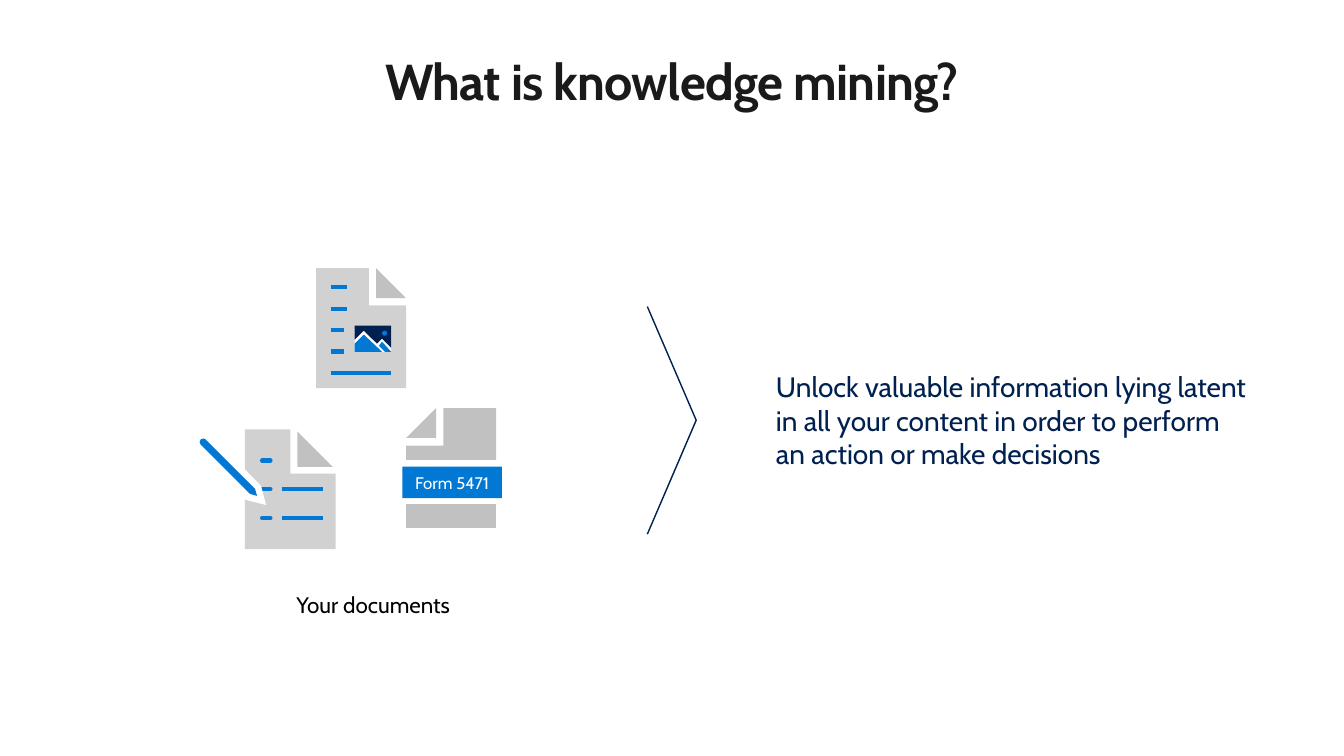
from lxml import etree
from pptx import Presentation
from pptx.dml.color import RGBColor
from pptx.enum.shapes import MSO_CONNECTOR, MSO_SHAPE
from pptx.enum.text import MSO_ANCHOR, MSO_AUTO_SIZE, PP_ALIGN
from pptx.oxml.ns import qn
from pptx.util import Pt

LINE = MSO_CONNECTOR.STRAIGHT
RECT, OVAL = MSO_SHAPE.RECTANGLE, MSO_SHAPE.OVAL
TOP, MIDDLE = MSO_ANCHOR.TOP, MSO_ANCHOR.MIDDLE
LEFT, CENTER = PP_ALIGN.LEFT, PP_ALIGN.CENTER
FIXED = MSO_AUTO_SIZE.NONE
PALE, GRAY, BLUE, NAVY, WHITE = "D1D1D1", "C1C1C1", "0078D4", "002050", "FFFFFF"


def paint(fill, color):
    fill.solid()
    fill.fore_color.rgb = RGBColor.from_string(color)


def trace(points, color, close=True):
    ends = [(Pt(x), Pt(y)) for x, y in points]
    pen = shapes.build_freeform(*ends[0], scale=1.0)
    pen.add_line_segments(ends[1:], close=close)
    shape = pen.convert_to_shape()
    shape.shadow.inherit = False
    if close:
        paint(shape.fill, color)
        shape.line.fill.background()
    else:
        shape.fill.background()
        paint(shape.line.fill, color)
        shape.line.width = Pt(1)


deck = Presentation()
deck.slide_width, deck.slide_height = Pt(960), Pt(540)
slide = deck.slides.add_slide(deck.slide_layouts[5])
shapes = slide.shapes

trace([(462.4, 219), (497.3, 300.2), (462.4, 381.6)], NAVY, close=False)

pages = [
    (PALE, [(225.8, 191.5), (263.5, 191.5), (263.5, 218.2), (290.1, 218.2),
            (290.1, 277.2), (225.8, 277.2)]),
    (GRAY, [(268.6, 213), (290.1, 213), (268.6, 191.5)]),
    (PALE, [(175, 306.7), (207.4, 306.7), (207.4, 338.4), (239.7, 338.4),
            (239.7, 392.2), (175, 392.2)]),
    (GRAY, [(212.4, 333.5), (237.8, 333.5), (212.4, 308.2)]),
    (GRAY, [(354.3, 291.5), (354.3, 328.5), (290.1, 328.5), (290.1, 318.4),
            (316.8, 318.4), (316.8, 291.5)]),
    (GRAY, [(290.1, 360), (354.3, 360), (354.3, 377.2), (290.1, 377.2)]),
    (GRAY, [(311.5, 312.8), (290.1, 312.8), (311.5, 291.5)]),
]
for color, points in pages:
    trace(points, color)

rows = [(236.2, end, 205.2 + 15.3 * i, "flat")
        for i, end in enumerate([247.7, 247.7, 245.5, 245.5, 279.4])]
rows += [(187.2, 193.2, 329 + 20.5 * i, "rnd") for i in range(3)]
rows += [(201.6, 230.4, 329 + 20.5 * i, "flat") for i in (1, 2)]
for start, end, y, cap in rows:
    row = shapes.add_connector(LINE, Pt(start), Pt(y), Pt(end), Pt(y))
    paint(row.line.fill, BLUE)
    row.line.width = Pt(3)
    props = row._element.spPr
    props.find(qn("a:ln")).set("cap", cap)
    etree.SubElement(props, qn("a:effectLst"))

blocks = {}
for name, kind, box, color in [
    ("photo", RECT, (253.4, 234.7, 26, 16.6), WHITE),
    ("form", RECT, (287.4, 333.3, 71.2, 22.5), BLUE),
]:
    block = shapes.add_shape(kind, *map(Pt, box))
    block.shadow.inherit = False
    paint(block.fill, color)
    block.line.fill.background()
    blocks[name] = block

details = [
    (WHITE, [(159.1, 319), (151.9, 319), (182.2, 349.2), (183.6, 354.2),
             (178.6, 352.8), (149, 324), (149, 330.5), (175.7, 357.1),
             (190.1, 360.7), (186.5, 347)]),
    (BLUE, [(178.6, 352.8), (143.3, 317.5), (142.6, 316), (143.3, 313.9),
            (145.4, 313.2), (146.9, 313.9), (182.2, 349.2), (183.6, 354.2)]),
    (NAVY, [(279.4, 232.6), (253.4, 232.6), (253.4, 242.6), (259.9, 236.2),
            (269.3, 245.5), (272.9, 241.9), (279.4, 248.4)]),
    (BLUE, [(253.4, 251.3), (272.9, 251.3), (259.9, 239), (253.4, 245.5)]),
    (BLUE, [(279.4, 251.3), (272.9, 244.1), (270.7, 247), (275, 251.3)]),
]
for color, points in details:
    trace(points, color)

sun = shapes.add_shape(OVAL, Pt(272.9), Pt(236.2), Pt(3.6), Pt(3.6))
sun.shadow.inherit = False
paint(sun.fill, BLUE)
sun.line.fill.background()

title = shapes.title
title.left, title.top, title.width, title.height = map(Pt, (46, 36, 867.8, 44))
label = shapes.add_textbox(Pt(197.3), Pt(412.6), Pt(283), Pt(26))
claim = shapes.add_textbox(Pt(547.2), Pt(260.6), Pt(351.4), Pt(80))

texts = [
    (title, "What is knowledge mining?", "1A1A1A", (0, 0), TOP,
     {"alignment": CENTER}, {"size": Pt(36), "bold": True}),
    (claim, "Unlock valuable information lying latent in all your content "
     "in order to perform an action or make decisions", NAVY, (7.2, 3.6), TOP,
     {"alignment": LEFT}, {"size": Pt(20)}),
    (label, "Your documents", "000000", (14.4, 11.5), TOP,
     {"alignment": LEFT, "line_spacing": 0.9}, {"size": Pt(16)}),
    (blocks["form"], "Form 5471", WHITE, (0, 3.6), MIDDLE,
     {"alignment": CENTER}, {"size": Pt(12)}),
]
for shape, words, color, (side, edge), anchor, layout, style in texts:
    frame = shape.text_frame
    frame.text = words
    para = frame.paragraphs[0]
    run = para.runs[0]
    margins = {"margin_left": Pt(side), "margin_right": Pt(side),
               "margin_top": Pt(edge), "margin_bottom": Pt(edge)}
    for item, values in [
        (frame, {"word_wrap": True, "auto_size": FIXED,
                 "vertical_anchor": anchor, **margins}),
        (para, layout),
        (run.font, {"name": "Cabin", **style}),
    ]:
        for key, value in values.items():
            setattr(item, key, value)
    paint(run.font.fill, color)
title.text_frame.paragraphs[0].runs[0]._r.get_or_add_rPr().set("spc", "-50")

deck.save("out.pptx")
